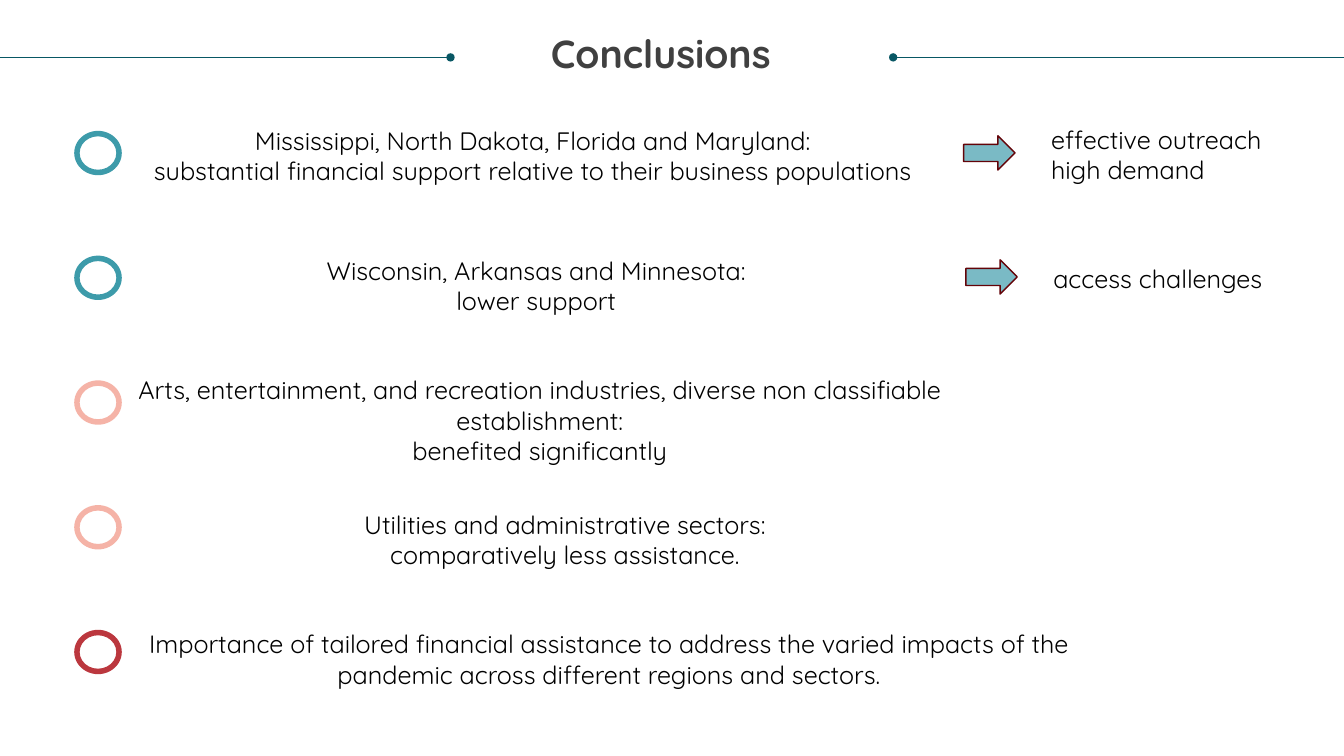
import lxml.etree
import pptx
import pptx.dml.color
import pptx.enum.shapes
import pptx.enum.text
import pptx.oxml.ns
import pptx.util

Pt = pptx.util.Pt
Align = pptx.enum.text.PP_ALIGN
Shape = pptx.enum.shapes.MSO_SHAPE
qn = pptx.oxml.ns.qn

COLORS = {
    "title": "404040", "text": "000000", "rule": "085764",
    "teal": "0D8295", "salmon": "F3A091", "red": "AA050E",
    "arrow": "7ABAC5", "arrow_edge": "630308",
}
BODY = {"name": "Quicksand", "size": Pt(18), "bold": False}
TITLE = {"name": "Quicksand", "size": Pt(28), "bold": True}


def rgb(name):
    return pptx.dml.color.RGBColor.from_string(COLORS[name])


def add_text(area, lines, align, font=BODY, color="text", margin=None, spacing=None):
    box = slide.shapes.add_textbox(*[Pt(value) for value in area])
    frame = box.text_frame
    frame.word_wrap = True
    if margin is not None:
        for side in ("left", "top", "right", "bottom"):
            setattr(frame, "margin_" + side, Pt(margin))
    for index, line in enumerate(lines):
        para = frame.paragraphs[0] if index == 0 else frame.add_paragraph()
        para.alignment = align
        para.line_spacing = spacing
        span = para.add_run()
        span.text = line
        for key, value in font.items():
            setattr(span.font, key, value)
        span.font.color.rgb = rgb(color)


deck = pptx.Presentation()
deck.slide_width, deck.slide_height = Pt(960), Pt(540)
slide = deck.slides.add_slide(deck.slide_layouts[6])

# Title between two rules that end in dots
add_text((10, 24.5, 924, 52), ["Conclusions"], Align.CENTER, TITLE, "title", 0, 0.9)
for edge, dot in ((0, 321.8), (960, 638)):
    rule = slide.shapes.add_connector(
        pptx.enum.shapes.MSO_CONNECTOR.STRAIGHT, Pt(edge), Pt(41), Pt(dot), Pt(41))
    rule.line.color.rgb = rgb("rule")
    rule.line.width = Pt(0.5)
    lxml.etree.SubElement(rule.line._get_or_add_ln(), qn("a:tailEnd"), type="oval")
    lxml.etree.SubElement(rule._element.spPr, qn("a:effectLst"))

# Conclusions: ring colour, text area, lines
conclusions = [
    ("teal", (83.5, 85.7, 594, 73),
     ["Mississippi, North Dakota, Florida and Maryland:",
      "substantial financial support relative to their business populations"]),
    ("teal", (86, 178.5, 594, 73),
     ["Wisconsin, Arkansas and Minnesota:", "lower support"]),
    ("salmon", (88.5, 264.2, 594, 94),
     ["Arts, entertainment, and recreation industries, diverse non classifiable establishment:",
      "benefited significantly"]),
    ("salmon", (106.5, 360, 594, 73),
     ["Utilities and administrative sectors:", "comparatively less assistance."]),
    ("red", (93, 445.5, 684, 51),
     ["Importance of tailored financial assistance to address the varied impacts "
      "of the pandemic across different regions and sectors."]),
]
for row, (color, area, lines) in enumerate(conclusions):
    ring = slide.shapes.add_shape(
        Shape.DONUT, Pt(53), Pt(93.5 + 89.1 * row), Pt(34), Pt(31.7))
    ring.adjustments[0] = 0.123
    ring.shadow.inherit = False
    ring.fill.solid()
    ring.fill.fore_color.rgb = rgb(color)
    ring.line.fill.background()
    fill_color = ring._element.spPr.find(".//" + qn("a:srgbClr"))
    lxml.etree.SubElement(fill_color, qn("a:alpha"), val="80000")
    add_text(area, lines, Align.CENTER)

# Arrows to the likely reasons
reasons = [
    (688.3, 97, 85, ["effective outreach", "high demand"]),
    (689.9, 185.6, 184.3, ["access challenges"]),
]
for left, arrow_top, text_top, lines in reasons:
    arrow = slide.shapes.add_shape(
        Shape.RIGHT_ARROW, Pt(left), Pt(arrow_top), Pt(36.7), Pt(24.5))
    arrow.shadow.inherit = False
    arrow.fill.solid()
    arrow.fill.fore_color.rgb = rgb("arrow")
    arrow.line.color.rgb = rgb("arrow_edge")
    arrow.line.width = Pt(1)
    add_text((left + 55.4, text_top, 180, 25.5 * len(lines)), lines, Align.LEFT)

deck.save("out.pptx")
